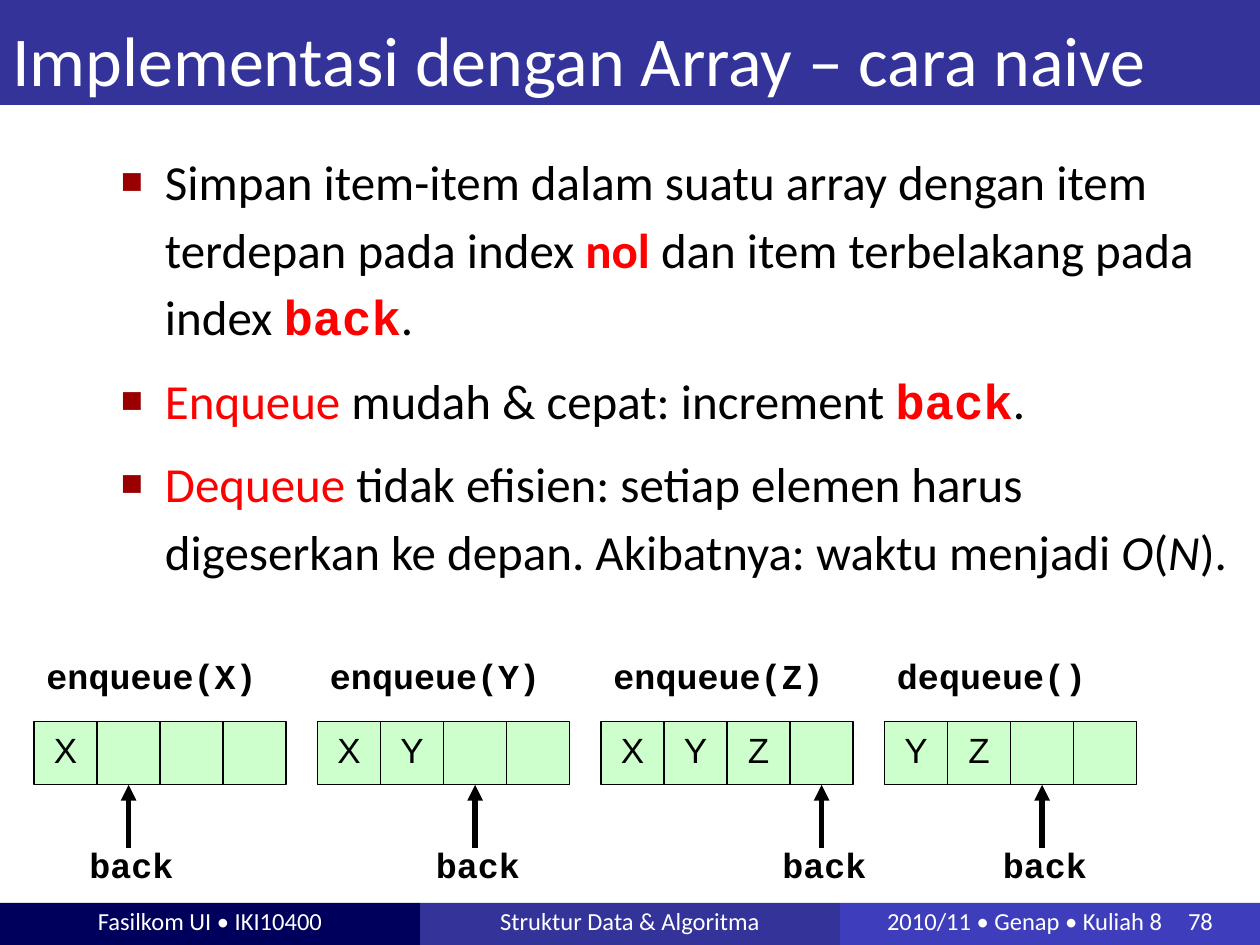
from dataclasses import dataclass

from pptx import Presentation
from pptx.dml.color import RGBColor as RGB
from pptx.enum.shapes import MSO_CONNECTOR as Line, MSO_SHAPE as Preset
from pptx.enum.text import MSO_ANCHOR as Anchor, PP_ALIGN as Align
from pptx.oxml.ns import qn
from pptx.util import Pt
from lxml.etree import SubElement


@dataclass(frozen=True)
class Theme:
    sans: str = "Calibri"
    cell_font: str = "Arial"
    mono: str = "Courier New"
    white: str = "FFFFFF"
    black: str = "000000"
    accent: str = "FF0000"
    bullet: str = "9A0000"
    navy: str = "00005C"
    indigo: str = "333399"
    violet: str = "3E3EBC"
    cell: str = "CCFFCC"
    title_size: int = 40
    body_size: int = 28
    label_size: int = 20
    footer_size: int = 14


def add_square_bullet(paragraph, color):
    props = paragraph._p.get_or_add_pPr()
    props.set("marL", str(Pt(25.2)))
    props.set("indent", str(Pt(-25.2)))
    SubElement(SubElement(props, qn("a:buClr")), qn("a:srgbClr"), val=color)
    SubElement(props, qn("a:buSzPct"), val="75000")
    SubElement(props, qn("a:buFont"), typeface="Arial")
    SubElement(props, qn("a:buChar"), char="■")


def add_tab(paragraph, position):
    stops = SubElement(paragraph._p.get_or_add_pPr(), qn("a:tabLst"))
    SubElement(stops, qn("a:tab"), pos=str(Pt(position)), algn="l")


def write(frame, paragraphs, *, font, size, color, bold=False, align=Align.LEFT,
          anchor=Anchor.TOP, margins=(7.2, 3.6, 7.2, 3.6), spacing=None,
          before=0, after=0, bullet=None, tab=None):
    frame.word_wrap = True
    frame.vertical_anchor = anchor
    (frame.margin_left, frame.margin_top,
     frame.margin_right, frame.margin_bottom) = map(Pt, margins)
    for index, pieces in enumerate(paragraphs):
        paragraph = frame.add_paragraph() if index else frame.paragraphs[0]
        if bullet:
            add_square_bullet(paragraph, bullet)
        if tab:
            add_tab(paragraph, tab)
        paragraph.alignment = align
        paragraph.space_before = Pt(before if index else 0)
        paragraph.space_after = Pt(after)
        if spacing:
            paragraph.line_spacing = spacing
        for piece in pieces:
            words, look = (piece, {}) if isinstance(piece, str) else piece
            run = paragraph.add_run()
            run.text = words
            run.font.name = look.get("font", font)
            run.font.size = Pt(size)
            run.font.bold = look.get("bold", bold)
            run.font.italic = look.get("italic", False)
            run.font.color.rgb = RGB.from_string(look.get("color", color))


class SlideBuilder:
    def __init__(self, slide, theme):
        self.slide = slide
        self.theme = theme
        self.shapes = slide.shapes

    def start_group(self):
        self.shapes = self.slide.shapes.add_group_shape().shapes

    def box(self, left, top, width, height, fill, outline=None):
        panel = self.shapes.add_shape(
            Preset.RECTANGLE, Pt(left), Pt(top), Pt(width), Pt(height))
        panel.shadow.inherit = False
        panel.fill.solid()
        panel.fill.fore_color.rgb = RGB.from_string(fill)
        if outline:
            panel.line.color.rgb = RGB.from_string(outline)
            panel.line.width = Pt(0.75)
        else:
            panel.line.fill.background()
        return panel

    def text(self, left, top, width, height, paragraphs, **style):
        area = self.shapes.add_textbox(Pt(left), Pt(top), Pt(width), Pt(height))
        write(area.text_frame, paragraphs, **style)

    def label(self, left, top, width, words):
        theme = self.theme
        self.text(left, top, width, 31.5, [[words]], font=theme.mono,
                  size=theme.label_size, color=theme.black, bold=True)

    def arrow_up_to(self, target, x, start, end):
        arrow = self.shapes.add_connector(
            Line.STRAIGHT, Pt(x), Pt(start), Pt(x), Pt(end))
        arrow.end_connect(target, 2)
        arrow.line.color.rgb = RGB.from_string(self.theme.black)
        arrow.line.width = Pt(3)
        SubElement(arrow.line._get_or_add_ln(), qn("a:tailEnd"), type="triangle")
        SubElement(arrow._element.spPr, qn("a:effectLst"))

    def queue(self, left, operation, items, back, capacity=4, side=36, top=412.5):
        theme = self.theme
        self.start_group()
        cells = []
        for index in range(capacity):
            cell = self.box(left + index * side, top, side, side,
                            theme.cell, theme.black)
            if index < len(items):
                write(cell.text_frame, [[items[index]]], font=theme.cell_font,
                      size=theme.label_size, color=theme.black, align=Align.CENTER)
            cells.append(cell)
        back_x = left + (back + 0.5) * side
        self.label(back_x - 29.5, 478.5, 65.5, "back")
        self.arrow_up_to(cells[back], back_x, top + 2 * side, top + side)
        self.label(left, 370.5, 138, operation)


def main():
    deck = Presentation()
    deck.slide_width, deck.slide_height = Pt(720), Pt(540)
    theme = Theme()
    builder = SlideBuilder(deck.slides.add_slide(deck.slide_layouts[6]), theme)

    centred = dict(align=Align.CENTER, margins=(7.2, 0, 7.2, 3.6))
    footers = [
        (theme.navy, "Fasilkom UI • IKI10400", centred),
        (theme.indigo, "Struktur Data & Algoritma", centred),
        (theme.violet, "2010/11 • Genap • Kuliah 8\t78",
         dict(margins=(26.9, 0, 7.2, 3.6), tab=172)),
    ]
    for index, (fill, words, layout) in enumerate(footers):
        footer = builder.box(index * 240, 516, 240, 24, fill)
        write(footer.text_frame, [[words]], font=theme.sans, size=theme.footer_size,
              color=theme.white, anchor=Anchor.MIDDLE, **layout)

    title = builder.box(0, 0, 720, 60, theme.indigo)
    write(title.text_frame, [["Implementasi dengan Array – cara naive"]],
          font=theme.sans, size=theme.title_size, color=theme.white,
          anchor=Anchor.MIDDLE, spacing=1.15)

    red = dict(color=theme.accent)
    italic = dict(italic=True)
    back = ("back", dict(font=theme.mono, bold=True, **red))
    points = [
        ["Simpan item-item dalam suatu array dengan item terdepan pada index ",
         ("nol", dict(bold=True, **red)),
         " dan item terbelakang pada index ", back, "."],
        [("Enqueue", red), " mudah & cepat: increment ", back, "."],
        [("Dequeue", red),
         " tidak efisien: setiap elemen harus digeserkan ke depan. "
         "Akibatnya: waktu menjadi ",
         ("O", italic), "(", ("N", italic), ")."],
    ]
    builder.text(62, 78, 658, 277, points, font=theme.sans, size=theme.body_size,
                 color=theme.black, spacing=1.15, before=3, after=6,
                 bullet=theme.bullet)

    steps = [("enqueue(X)", "X", 1), ("enqueue(Y)", "XY", 2),
             ("enqueue(Z)", "XYZ", 3), ("dequeue()", "YZ", 2)]
    for index, (operation, items, back_index) in enumerate(steps):
        builder.queue(19.5 + index * 162, operation, items, back_index)

    deck.save("out.pptx")


if __name__ == "__main__":
    main()
